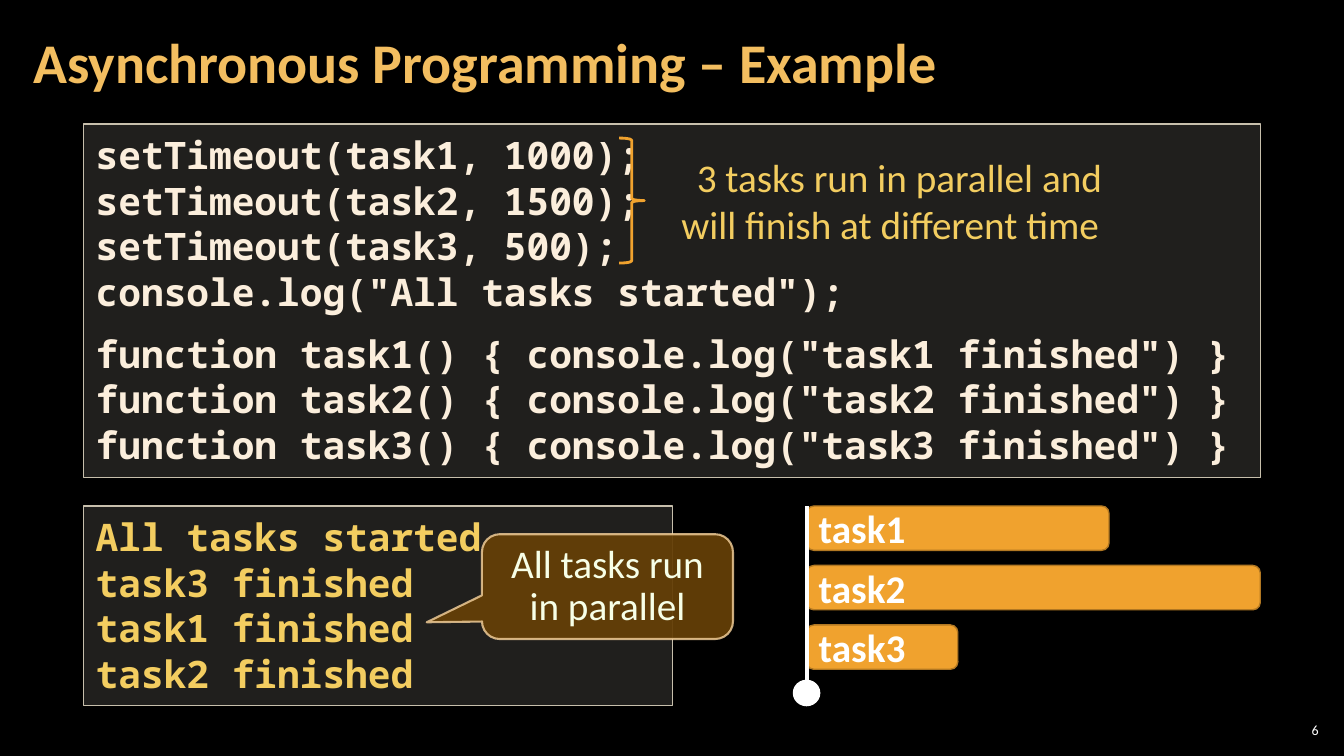
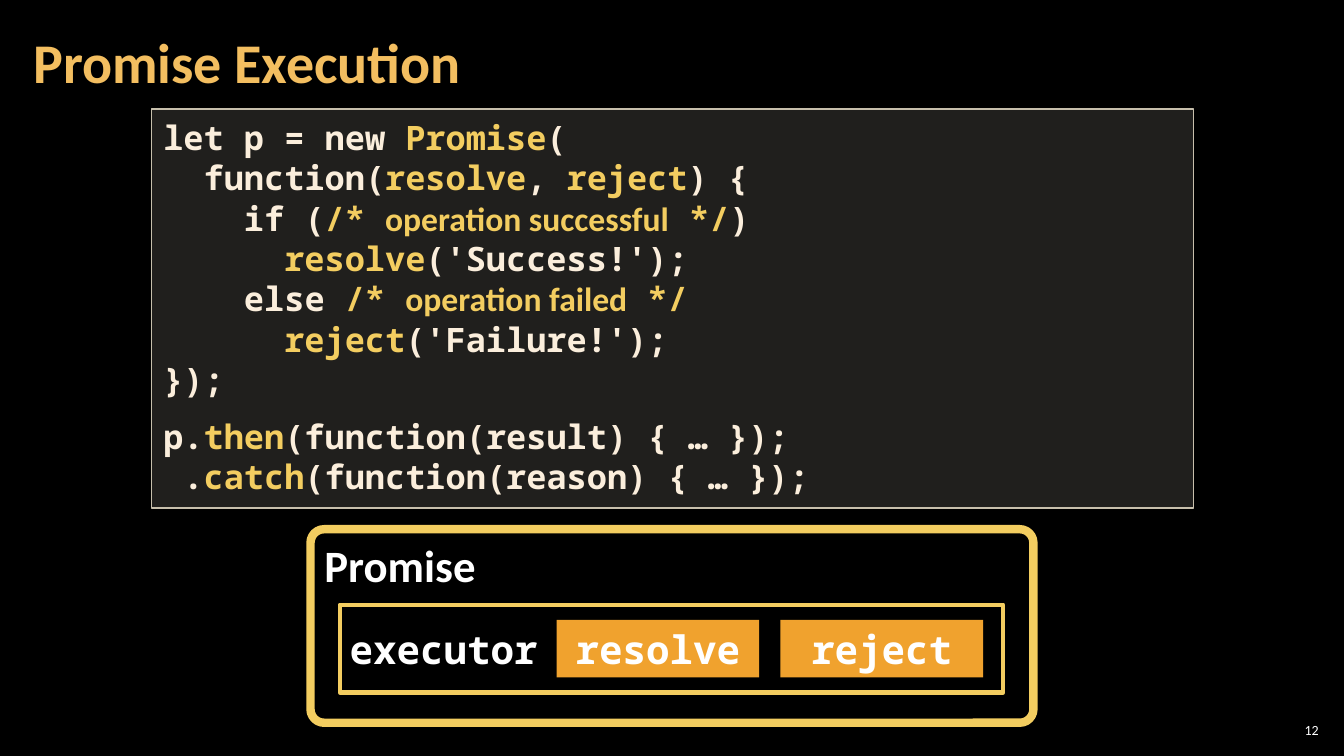
from dataclasses import dataclass
from functools import partial
from typing import Optional, Sequence, Union

from lxml import etree
from pptx import Presentation
from pptx import util as u
from pptx.dml.color import RGBColor
from pptx.enum import shapes, text
from pptx.oxml import ns

BLACK = RGBColor(0x00, 0x00, 0x00)
WHITE = RGBColor(0xFF, 0xFF, 0xFF)
GOLD = RGBColor(0xF3, 0xBE, 0x60)
YELLOW = RGBColor(0xF3, 0xCD, 0x60)
ORANGE = RGBColor(0xF0, 0xA2, 0x2E)
BROWN = RGBColor(0xB2, 0x78, 0x22)
CREAM = RGBColor(0xFB, 0xEE, 0xDC)
SAND = RGBColor(0xD9, 0xD5, 0xC7)
SAND_EDGE = RGBColor(0xC7, 0xBF, 0xAC)
CALLOUT_FILL = RGBColor(0x64, 0x3F, 0x07)
CALLOUT_EDGE = RGBColor(0xF8, 0xD4, 0x9E)
CALLOUT_TEXT = RGBColor(0xF7, 0xFF, 0xE7)

BODY_FONT = "Calibri"
CODE_FONT = "Noto Sans Mono"
EMU_PER_PX = 9144

SHAPE = shapes.MSO_SHAPE
LEFT, CENTER, RIGHT = text.PP_ALIGN.LEFT, text.PP_ALIGN.CENTER, text.PP_ALIGN.RIGHT
TOP, MIDDLE = text.MSO_ANCHOR.TOP, text.MSO_ANCHOR.MIDDLE


@dataclass(frozen=True)
class Box:
    left: int
    top: int
    width: int
    height: int

    def emu(self) -> tuple:
        return tuple(map(px, (self.left, self.top, self.width, self.height)))


@dataclass(frozen=True)
class Run:
    text: str
    color: Optional[RGBColor] = None
    font: Optional[str] = None


@dataclass(frozen=True)
class Task:
    name: str
    milliseconds: int


Line = Union[str, Sequence[Run]]
Block = Sequence[Line]
key = partial(Run, color=YELLOW)
remark = partial(Run, color=YELLOW, font=BODY_FONT)


def px(length: int) -> u.Emu:
    return u.Emu(length * EMU_PER_PX)


def write_text(shape, *blocks: Block, size: float, color: RGBColor,
               font: str = BODY_FONT, bold: bool = False,
               aligns: Sequence = (LEFT,), anchor=TOP, spacing=None,
               insets: tuple = (10, 5)) -> None:
    frame = shape.text_frame
    frame.auto_size = text.MSO_AUTO_SIZE.NONE
    frame.word_wrap = True
    frame.vertical_anchor = anchor
    frame.margin_left = frame.margin_right = px(insets[0])
    frame.margin_top = frame.margin_bottom = px(insets[1])
    lines = [(line, block_number > 0 and line_number == 0)
             for block_number, block in enumerate(blocks)
             for line_number, line in enumerate(block)]
    for index, (line, opens_block) in enumerate(lines):
        paragraph = frame.add_paragraph() if index else frame.paragraphs[0]
        paragraph.alignment = aligns[min(index, len(aligns) - 1)]
        paragraph.line_spacing = spacing
        if opens_block:
            paragraph.space_before = u.Pt(12)
        for part in [Run(line)] if isinstance(line, str) else line:
            run = paragraph.add_run()
            run.text = part.text
            run.font.name = part.font or font
            run.font.size = u.Pt(size)
            run.font.bold = bold
            run.font.color.rgb = part.color or color


def set_opacity(parent, percent: int) -> None:
    color = parent.find(ns.qn("a:solidFill")).find(ns.qn("a:srgbClr"))
    etree.SubElement(color, ns.qn("a:alpha")).set("val", str(percent * 1000))


def add_shape(slide, box: Box, kind=SHAPE.RECTANGLE, fill: Optional[RGBColor] = None,
              edge: Optional[RGBColor] = None, edge_width: float = 1,
              opacity: int = 100, edge_opacity: int = 100,
              adjustments: Sequence[float] = ()):
    shape = slide.shapes.add_shape(kind, *box.emu())
    shape.shadow.inherit = False
    for index, value in enumerate(adjustments):
        shape.adjustments[index] = value
    properties = shape._element.spPr
    if fill is None:
        shape.fill.background()
    else:
        shape.fill.solid()
        shape.fill.fore_color.rgb = fill
        if opacity < 100:
            set_opacity(properties, opacity)
    if edge is None:
        shape.line.fill.background()
    else:
        shape.line.color.rgb = edge
        shape.line.width = u.Pt(edge_width)
        if edge_opacity < 100:
            set_opacity(properties.find(ns.qn("a:ln")), edge_opacity)
    return shape


def add_code_box(slide, box: Box, *blocks: Block, size: float, color: RGBColor = CREAM) -> None:
    shape = add_shape(slide, box, fill=SAND, opacity=15, edge=SAND_EDGE)
    write_text(shape, *blocks, size=size, color=color, font=CODE_FONT, bold=True,
               insets=(12, 8))


def add_slide(presentation, title: str, number: int):
    slide = presentation.slides.add_slide(presentation.slide_layouts[5])
    heading = slide.shapes.title
    heading.left, heading.top, heading.width, heading.height = Box(21, 4, 1047, 121).emu()
    write_text(heading, [title], size=40, color=GOLD, bold=True, anchor=MIDDLE,
               spacing=0.9, insets=(12, 4))
    number_box = slide.shapes.add_textbox(*Box(1265, 714, 47, 21).emu())
    write_text(number_box, [str(number)], size=10, color=WHITE, aligns=(RIGHT,),
               anchor=MIDDLE, insets=(4, 4))
    return slide


def add_timeline(slide, tasks: Sequence[Task], left: int, top: int) -> None:
    for index, task in enumerate(tasks):
        bar = add_shape(slide, Box(left, top + index * 59, task.milliseconds * 3 // 10, 44),
                        SHAPE.ROUNDED_RECTANGLE, fill=ORANGE, edge=BROWN)
        write_text(bar, [task.name], size=28, color=WHITE, bold=True, anchor=MIDDLE)
    dot = add_shape(slide, Box(left - 13, top + 173, 26, 25), SHAPE.OVAL,
                    fill=WHITE, edge=WHITE)
    axis = slide.shapes.add_connector(shapes.MSO_CONNECTOR.STRAIGHT, px(left), px(top + 173),
                                      px(left), px(top))
    axis.begin_connect(dot, 0)
    axis.line.color.rgb = WHITE
    axis.line.width = u.Pt(3)
    etree.SubElement(axis._element.spPr, ns.qn("a:effectLst"))


def build_example(presentation) -> None:
    slide = add_slide(presentation, "Asynchronous Programming – Example", 6)
    tasks = [Task("task1", 1000), Task("task2", 1500), Task("task3", 500)]
    calls = [f"setTimeout({task.name}, {task.milliseconds});" for task in tasks]
    functions = [f'function {task.name}() {{ console.log("{task.name} finished") }}'
                 for task in tasks]
    by_duration = sorted(tasks, key=lambda task: task.milliseconds)
    add_code_box(slide, Box(83, 123, 1167, 351),
                 calls + ['console.log("All tasks started");'], functions, size=27)
    add_code_box(slide, Box(83, 502, 584, 198),
                 ["All tasks started"] + [f"{task.name} finished" for task in by_duration],
                 size=27, color=YELLOW)
    callout = add_shape(slide, Box(478, 530, 249, 104), SHAPE.ROUNDED_RECTANGULAR_CALLOUT,
                        fill=CALLOUT_FILL, opacity=95, edge=CALLOUT_EDGE, edge_width=1.5,
                        edge_opacity=80, adjustments=(-0.72, 0.34, 0.17))
    write_text(callout, ["All tasks run in parallel"], size=28, color=CALLOUT_TEXT,
               aligns=(CENTER,), anchor=MIDDLE, spacing=u.Pt(30))
    add_shape(slide, Box(614, 137, 25, 124), SHAPE.RIGHT_BRACE, edge=ORANGE, edge_width=2)
    note = slide.shapes.add_textbox(*Box(666, 147, 452, 104).emu())
    write_text(note, ["3 tasks run in parallel and", "will finish at different time"],
               size=28, color=YELLOW, aligns=(CENTER, LEFT))
    add_timeline(slide, tasks, 800, 502)


def build_promise(presentation) -> None:
    slide = add_slide(presentation, "Promise Execution", 12)
    promise = add_shape(slide, Box(308, 525, 717, 192), SHAPE.ROUNDED_RECTANGLE,
                        edge=YELLOW, edge_width=6, adjustments=(0.07,))
    write_text(promise, ["Promise"], size=32, color=WHITE, bold=True)
    code_label = partial(write_text, size=28, color=WHITE, font=CODE_FONT, bold=True,
                         anchor=MIDDLE)
    executor = add_shape(slide, Box(337, 600, 658, 87), edge=YELLOW, edge_width=3)
    code_label(executor, ["executor"], insets=(10, 20))
    for index, name in enumerate(("resolve", "reject")):
        button = add_shape(slide, Box(552 + index * 222, 615, 201, 57), fill=ORANGE)
        code_label(button, [name], aligns=(CENTER,))
    creation = [
        [Run("let p = new"), key(" Promise"), Run("(")],
        [Run("  function("), key("resolve"), Run(", "), key("reject"), Run(") {")],
        [Run("    if ("), key("/* "), remark("operation successful"), key(" */"), Run(")")],
        [Run("      "), key("resolve"), Run("('Success!');")],
        [Run("    else "), key("/* "), remark("operation failed"), key(" */")],
        [Run("      "), key("reject"), Run("('Failure!');")],
        "});",
    ]
    handlers = [
        [Run("p."), key("then"), Run("(function(result) { … });")],
        [Run(" ."), key("catch"), Run("(function(reason) { … });")],
    ]
    add_code_box(slide, Box(150, 108, 1034, 396), creation, handlers, size=24)


def main() -> None:
    presentation = Presentation()
    presentation.slide_width, presentation.slide_height = px(1333), px(750)
    background = presentation.slide_master.background.fill
    background.solid()
    background.fore_color.rgb = BLACK
    build_example(presentation)
    build_promise(presentation)
    presentation.save("out.pptx")


if __name__ == "__main__":
    main()
